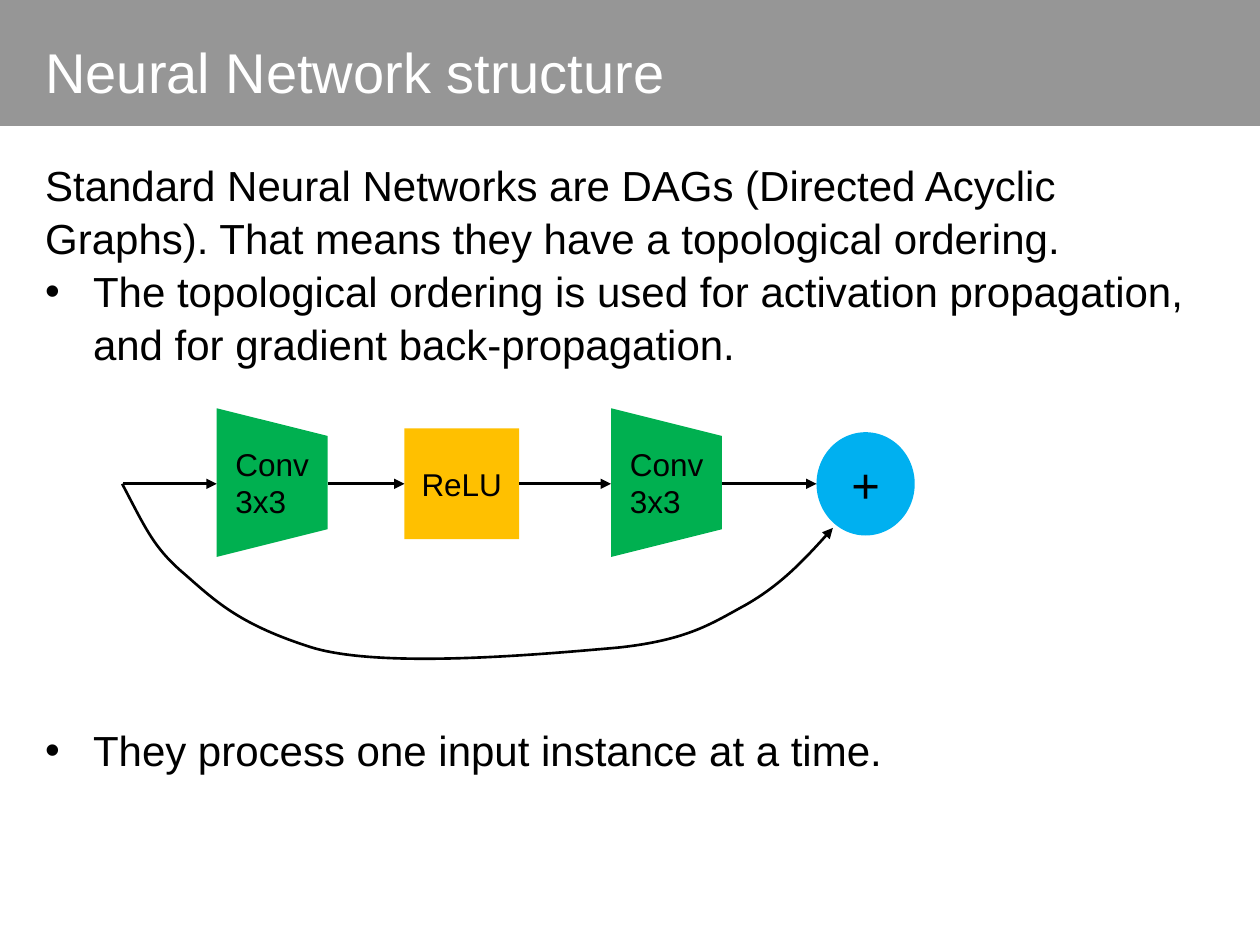
from dataclasses import dataclass

from lxml.etree import SubElement
from pptx import Presentation
from pptx.dml.color import RGBColor
from pptx.enum.shapes import MSO_CONNECTOR, MSO_SHAPE
from pptx.enum.text import MSO_ANCHOR, MSO_AUTO_SIZE, PP_ALIGN
from pptx.oxml.ns import qn
from pptx.util import Inches, Pt


@dataclass(frozen=True)
class Theme:
    font: str = "Arial"
    bar: RGBColor = RGBColor(0x96, 0x96, 0x96)
    title: RGBColor = RGBColor(0xFF, 0xFF, 0xFF)
    ink: RGBColor = RGBColor(0, 0, 0)
    conv: RGBColor = RGBColor(0x00, 0xB0, 0x50)
    relu: RGBColor = RGBColor(0xFF, 0xC0, 0x00)
    add: RGBColor = RGBColor(0x00, 0xB0, 0xF0)
    title_size: Pt = Pt(32)
    body_size: Pt = Pt(24)
    label_size: Pt = Pt(18)
    plus_size: Pt = Pt(28)
    line_width: Pt = Pt(1.5)
    line_spacing: float = 1.05


THEME = Theme()


def add_span(para, text, size, color=THEME.ink):
    span = para.add_run()
    span.text = text
    span.font.name = THEME.font
    span.font.size = size
    span.font.color.rgb = color


def set_frame(frame, margin, anchor=MSO_ANCHOR.TOP, wrap=True):
    frame.word_wrap = wrap
    frame.auto_size = MSO_AUTO_SIZE.NONE
    frame.vertical_anchor = anchor
    frame.margin_left = frame.margin_right = margin
    frame.margin_top = frame.margin_bottom = min(margin, Inches(0.1))


def add_block(shapes, kind, box, fill):
    block = shapes.add_shape(kind, *map(Inches, box))
    block.shadow.inherit = False
    block.fill.solid()
    block.fill.fore_color.rgb = fill
    block.line.fill.background()
    return block


def add_arrowhead(line):
    SubElement(line._get_or_add_ln(), qn("a:tailEnd"), type="triangle")


def add_title(page, box, text):
    bar = add_block(page.shapes, MSO_SHAPE.RECTANGLE, (0, 0, 10, 1), THEME.bar)
    page.shapes._spTree.insert(2, bar._element)  # behind the title
    title = page.shapes.title
    title.left, title.top, title.width, title.height = map(Inches, box)
    set_frame(title.text_frame, Inches(0.1))
    para = title.text_frame.paragraphs[0]
    para.alignment = PP_ALIGN.LEFT
    para.line_spacing = THEME.line_spacing
    add_span(para, text, THEME.title_size, THEME.title)


def add_body(page, box, items):
    """Each item is its text, whether it has a bullet, and the space before it."""
    frame = page.shapes.add_textbox(*map(Inches, box)).text_frame
    set_frame(frame, Inches(0.1))
    for number, (text, bulleted, space) in enumerate(items):
        para = frame.add_paragraph() if number else frame.paragraphs[0]
        para.line_spacing = THEME.line_spacing
        para.space_before = space
        if bulleted:
            properties = para._p.get_or_add_pPr()
            indent = Inches(0.38)
            properties.set("marL", str(indent))
            properties.set("indent", str(-indent))
            SubElement(properties, qn("a:buFont"), typeface=THEME.font)
            SubElement(properties, qn("a:buChar"), char="•")
        add_span(para, text, THEME.body_size)


def add_convolution(page, left, top):
    group = page.shapes.add_group_shape()
    box = (left, top, 1.18, 0.88)
    add_block(group.shapes, MSO_SHAPE.TRAPEZOID, box, THEME.conv).rotation = 90
    label = group.shapes.add_textbox(
        Inches(left + 0.2), Inches(top + 0.09), Inches(0.79), Inches(0.71))
    set_frame(label.text_frame, Inches(0.1), wrap=False)
    label.text_frame.margin_top = label.text_frame.margin_bottom = Inches(0.05)
    para = label.text_frame.paragraphs[0]
    add_span(para, "Conv", THEME.label_size)
    para.add_line_break()
    add_span(para, "3x3", THEME.label_size)


def add_operation(page, kind, box, text, fill, size):
    block = add_block(page.shapes, kind, box, fill)
    set_frame(block.text_frame, Inches(0.05), MSO_ANCHOR.MIDDLE)
    para = block.text_frame.paragraphs[0]
    para.alignment = PP_ALIGN.CENTER
    add_span(para, text, size)
    return block


def add_arrow(page, start, end):
    arrow = page.shapes.add_connector(
        MSO_CONNECTOR.STRAIGHT, *map(Inches, (*start, *end)))
    arrow.line.color.rgb = THEME.ink
    arrow.line.width = THEME.line_width
    add_arrowhead(arrow.line)
    SubElement(arrow._element.spPr, qn("a:effectLst"))
    return arrow


def add_skip_curve(page, points, height):
    """Draw a Bezier curve: a start point, then three points for each segment."""
    start, *rest = [(Inches(x), Inches(y)) for x, y in points]
    builder = page.shapes.build_freeform(*start)
    builder.add_line_segments(rest, close=False)
    curve = builder.convert_to_shape()
    outline = next(curve._element.iter(qn("a:path")))
    corners = outline.findall(qn("a:lnTo"))
    for first in range(0, len(corners), 3):
        segment = SubElement(outline, qn("a:cubicBezTo"))
        for corner in corners[first:first + 3]:
            segment.append(corner[0])
            outline.remove(corner)
    # The curve is less deep than its control points.
    curve.height = Inches(height)
    outline.set("h", str(curve.height))
    curve.shadow.inherit = False
    curve.fill.background()
    curve.line.color.rgb = THEME.ink
    curve.line.width = THEME.line_width
    add_arrowhead(curve.line)


def add_network(page, left, top):
    middle = top + 0.45
    relu = add_operation(page, MSO_SHAPE.RECTANGLE, (left + 2.24, top + 0.01, 0.91, 0.88),
                         "ReLU", THEME.relu, THEME.label_size)
    for offset in (0.6, 3.73):
        add_convolution(page, left + offset, top)
    add_operation(page, MSO_SHAPE.OVAL, (left + 5.51, top + 0.04, 0.78, 0.82),
                  "+", THEME.add, THEME.plus_size)

    arrows = [add_arrow(page, (left + start, middle), (left + end, middle))
              for start, end in ((0.01, 0.75), (1.63, 2.24), (3.15, 3.88), (4.76, 5.51))]
    arrows[1].end_connect(relu, 1)
    arrows[2].begin_connect(relu, 3)

    bends = [(0, 0), (0.19, 0.36), (0.25, 0.51), (0.5, 0.72),
             (0.75, 0.94), (0.94, 1.12), (1.51, 1.3),
             (2.08, 1.47), (3.35, 1.35), (3.93, 1.3),
             (4.5, 1.24), (4.69, 1.1), (4.95, 0.96),
             (5.21, 0.81), (5.41, 0.61), (5.64, 0.35)]
    add_skip_curve(page, [(left + x, middle + y) for x, y in bends], 1.39)


def main():
    deck = Presentation()
    deck.slide_width, deck.slide_height = Inches(10), Inches(7.5)
    page = deck.slides.add_slide(deck.slide_layouts[5])
    add_title(page, (0.26, 0.17, 8.11, 0.88), "Neural Network structure")
    add_body(page, (0.26, 1.15, 9.41, 5.87), [
        ("Standard Neural Networks are DAGs (Directed Acyclic Graphs). "
         "That means they have a topological ordering.", False, Pt(0)),
        ("The topological ordering is used for activation propagation, "
         "and for gradient back-propagation.", True, Pt(0)),
        ("They process one input instance at a time.", True, Pt(202)),
    ])
    add_network(page, 0.97, 3.39)
    deck.save("out.pptx")


if __name__ == "__main__":
    main()
